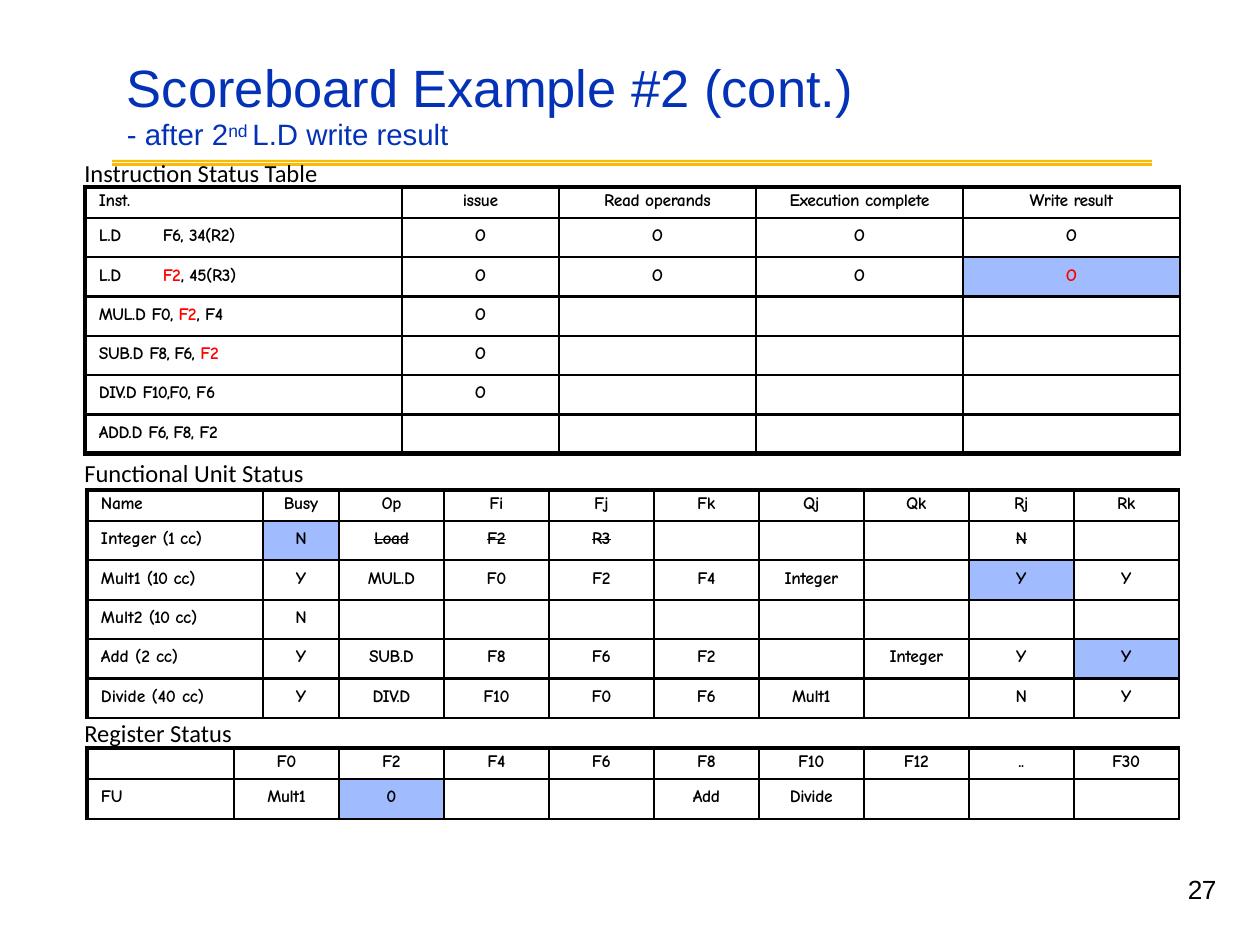
from dataclasses import dataclass
from lxml.etree import SubElement
from pptx import Presentation
from pptx.dml.color import RGBColor
from pptx.enum.shapes import MSO_SHAPE
from pptx.enum.text import MSO_ANCHOR, MSO_AUTO_SIZE, PP_ALIGN
from pptx.oxml.ns import qn
from pptx.util import Pt

SCALE = 914400 / 126


@dataclass(frozen=True)
class Theme:
    """Colours, fonts and type sizes of the slide."""
    blue: str = "0332B7"
    gold: str = "FBBA03"
    black: str = "000000"
    red: str = "FF0000"
    mark: str = "A0BCFE"
    head: str = "Arial"
    label: str = "Calibri"
    cell: str = "Comic Neue"
    title: float = 30
    sub: float = 16.8
    sup: float = 17.2
    page: float = 15
    note: float = 14
    small: float = 10
    thin: float = 1.5
    thick: float = 3


def px(n):
    """Turn px into EMU."""
    return round(n * SCALE)


def rgb(code):
    """Turn a hex code into a colour."""
    return RGBColor.from_string(code)


def put(para, text, *, font, size, color, bold=False, gap=0, strike=False, base=0):
    """Add one formatted run to a paragraph."""
    run = para.add_run()
    run.text = text
    run.font.name, run.font.size, run.font.bold = font, Pt(size), bold
    run.font.color.rgb = rgb(color)
    attrs = run.font._element
    attrs.set("spc", str(round(gap * 100)))
    if strike:
        attrs.set("strike", "sngStrike")
    if base:
        attrs.set("baseline", str(base * 1000))


def indent(para, left):
    """Set the left margin of a paragraph."""
    para._p.get_or_add_pPr().set("marL", str(px(left)))


class Board:
    """Draws the elements of the slide in one style."""

    def __init__(self, deck, theme):
        """Start a title-only slide."""
        self.theme = theme
        self.slide = deck.slides.add_slide(deck.slide_layouts[5])

    def title(self, x, y, w, h, lines):
        """Fill the title with lines of (leading, runs)."""
        t, shape = self.theme, self.slide.shapes.title
        shape.left, shape.top, shape.width, shape.height = map(px, (x, y, w, h))
        frame = shape.text_frame
        frame.auto_size, frame.vertical_anchor = MSO_AUTO_SIZE.NONE, MSO_ANCHOR.TOP
        frame.margin_left = frame.margin_right = frame.margin_bottom = 0
        frame.margin_top = px(1)
        for i, (lead, runs) in enumerate(lines):
            para = frame.add_paragraph() if i else frame.paragraphs[0]
            para.alignment, para.line_spacing = PP_ALIGN.LEFT, Pt(lead)
            para.space_before = Pt(0)
            indent(para, 1)
            for text, size, base in runs:
                put(para, text, font=t.head, size=size, color=t.blue, base=base)

    def bar(self, x, y, w, h):
        """Draw a plain gold bar."""
        shape = self.slide.shapes.add_shape(MSO_SHAPE.RECTANGLE, *map(px, (x, y, w, h)))
        shape.shadow.inherit = False
        shape.fill.solid()
        shape.fill.fore_color.rgb = rgb(self.theme.gold)
        shape.line.fill.background()

    def box(self, x, y, w, h, text, **form):
        """Draw a text box of one line and give back its frame."""
        frame = self.slide.shapes.add_textbox(*map(px, (x, y, w, h))).text_frame
        frame.word_wrap = True
        put(frame.paragraphs[0], text, color=self.theme.black, **form)
        return frame

    def label(self, y, text):
        """Draw the caption above a table."""
        self.box(72, y, 302, 43, text, font=self.theme.label, size=self.theme.note)

    def page(self, text):
        """Draw the page number."""
        frame = self.box(1169, 874, 53, 60, text, font=self.theme.head,
                         size=self.theme.page, gap=-0.4)
        frame.margin_left = frame.margin_right = 0
        frame.margin_top = frame.margin_bottom = 0
        para = frame.paragraphs[0]
        para.line_spacing = Pt(17.5)
        indent(para, 19)

    def edge(self, cell, **sides):
        """Set the width of each cell border."""
        props = cell._tc.get_or_add_tcPr()
        for side, width in sides.items():
            line = SubElement(props, qn(f"a:ln{side}"), w=str(Pt(width)))
            fill = SubElement(line, qn("a:solidFill"))
            SubElement(fill, qn("a:srgbClr"), val=self.theme.black)

    def fill(self, cell, text, first, lead):
        """Write a cell: # marks it, | splits runs, * is red, ~ is struck."""
        t = self.theme
        if text.startswith("#"):
            cell.fill.solid()
            cell.fill.fore_color.rgb = rgb(t.mark)
        else:
            cell.fill.background()
        para = cell.text_frame.paragraphs[0]
        if first:
            indent(para, 14)
        else:
            para.alignment = PP_ALIGN.CENTER
        if "\t" in text:
            tabs = SubElement(para._p.get_or_add_pPr(), qn("a:tabLst"))
            SubElement(tabs, qn("a:tab"), pos=str(px(64)), algn="l")
        parts = text.lstrip("#").split("|")
        if parts == [""]:
            SubElement(para._p, qn("a:endParaRPr"), sz=str(t.small * 100))
            return
        last = len(parts) - 1
        for i, part in enumerate(parts):
            gap = -0.2 if i == last else -0.5 if i else lead
            put(para, part.lstrip("*~"), font=t.cell, size=t.small, bold=True, gap=gap,
                color=t.red if part[0] == "*" else t.black, strike=part[0] == "~")

    def table(self, x, y, h, cols, rows, lead=0, foot=None):
        """Draw a table with a thick left and top edge."""
        t, top = self.theme, 31
        shape = self.slide.shapes.add_table(
            len(rows), len(cols), *map(px, (x, y, sum(cols), h)))
        grid = shape.table
        grid.first_row = grid.horz_banding = False
        for col, width in zip(grid.columns, cols):
            col.width = px(width)
        for r, texts in enumerate(rows):
            grid.rows[r].height = px((h - top) / (len(rows) - 1) if r else top)
            low = foot if foot and r == len(rows) - 1 else t.thin
            for c, text in enumerate(texts):
                cell = grid.cell(r, c)
                cell.margin_left = cell.margin_right = cell.margin_bottom = 0
                cell.margin_top = px(8 if r else 4)
                self.edge(cell, L=t.thin if c else t.thick, R=t.thin,
                          T=t.thin if r else t.thick, B=low)
                self.fill(cell, text, c == 0, lead)


INST = [
    ["Inst.", "issue", "Read |operands", "Execution |complete", "Write |result"],
    ["L.D\t|F6, |34(R2)", "O", "O", "O", "O"],
    ["L.D\t|*F2|, |45(R3)", "O", "O", "O", "#*O"],
    ["MUL.D |F0, |*F2|, |F4", "O", "", "", ""],
    ["SUB.D |F8, F6, |*F2", "O", "", "", ""],
    ["DIV.D |F10,F0, |F6", "O", "", "", ""],
    ["ADD.D |F6, F8, |F2", "", "", "", ""],
]
UNITS = [
    ["Name", "Busy", "Op", "Fi", "Fj", "Fk", "Qj", "Qk", "Rj", "Rk"],
    ["Integer |(1 |cc)", "#N", "~Load", "~F2", "~R3", "", "", "", "~N", ""],
    ["Mult1 |(10 |cc)", "Y", "MUL.D", "F0", "F2", "F4", "Integer", "", "#Y", "Y"],
    ["Mult2 |(10 |cc)", "N", "", "", "", "", "", "", "", ""],
    ["Add (2 |cc)", "Y", "SUB.D", "F8", "F6", "F2", "", "Integer", "Y", "#Y"],
    ["Divide (40 |cc)", "Y", "DIV.D", "F10", "F0", "F6", "Mult1", "", "N", "Y"],
]
REGS = [
    ["", "F0", "F2", "F4", "F6", "F8", "F10", "F12", "..", "F30"],
    ["FU", "Mult1", "#0", "", "", "Add", "Divide", "", "", ""],
]


def main():
    """Build and save the slide."""
    deck, theme = Presentation(), Theme()
    deck.slide_width, deck.slide_height = px(1260), px(945)
    board = Board(deck, theme)
    board.bar(112, 160, 1040, 2)
    board.bar(112, 163, 1040, 3)
    board.title(126, 55, 971, 97, [
        (35.2, [("Scoreboard Example #2 (cont.)", theme.title, 0)]),
        (19.3, [("- after 2", theme.sub, 0), ("nd ", theme.sup, 26),
                ("L.D write result", theme.sub, 0)]),
    ])
    board.table(85, 187, 267, [317, 157, 197, 207, 217], INST, lead=-0.2, foot=theme.thick)
    board.table(87, 490, 228, [176, 76] + [105] * 8, UNITS)
    board.table(87, 748, 71, [147] + [105] * 9, REGS)
    board.label(152, "Instruction Status Table")
    board.label(452, "Functional Unit Status")
    board.label(712, "Register Status")
    board.page("27")
    deck.save("out.pptx")


if __name__ == "__main__":
    main()
